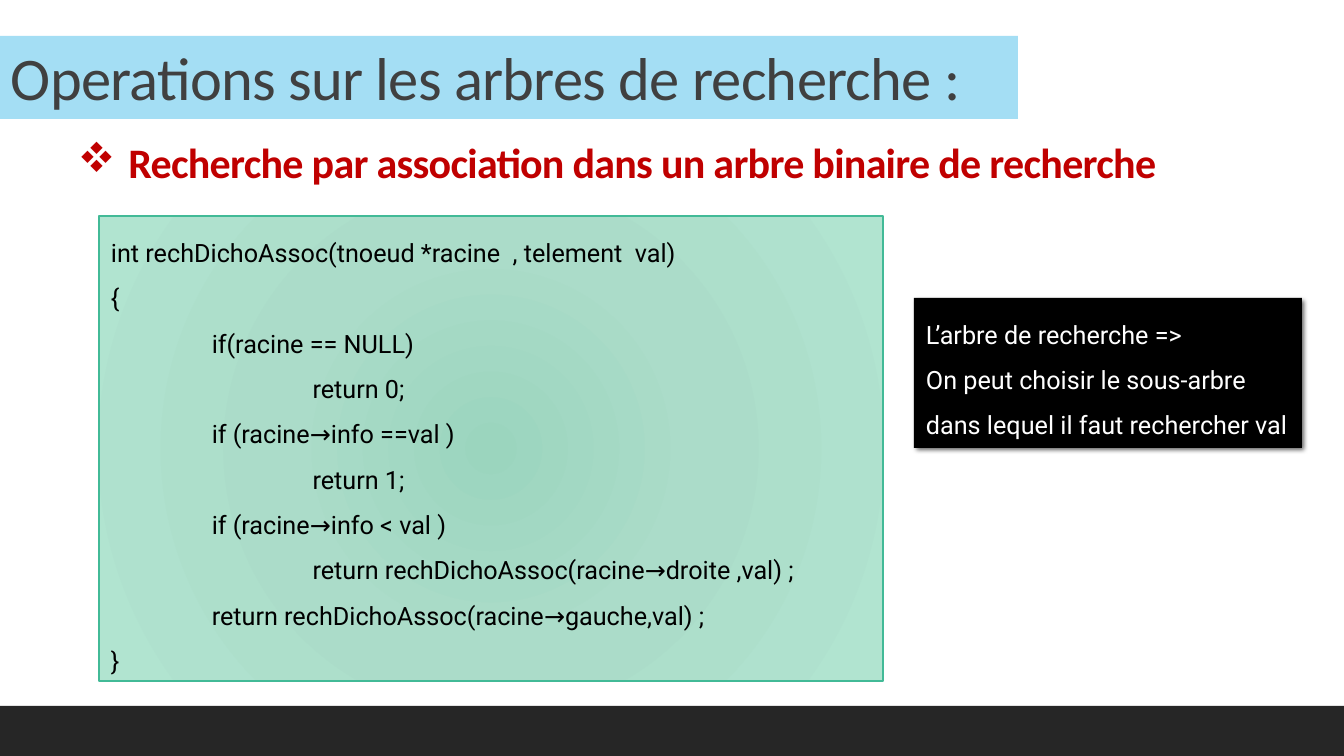
import pptx
import pptx.dml.color
import pptx.enum.shapes
import pptx.enum.text
import pptx.oxml
import pptx.oxml.ns
import pptx.util

EMU_PER_PX = 914400 / 100.8
COLORS = {
    "footer": "262626",
    "title_band": "A4DEF4",
    "title_text": "404040",
    "heading": "C00000",
    "code_line": "42BA97",
    "code_inner": "9BD5BE",
    "code_middle": "ABDCC9",
    "code_outer": "B1E4D0",
    "black": "000000",
    "white": "FFFFFF",
}
CODE = [
    (0, "int rechDichoAssoc(tnoeud *racine  , telement  val)"),
    (0, "{"),
    (1, "if(racine == NULL)"),
    (2, "return 0;"),
    (1, "if (racine→info ==val )"),
    (2, "return 1;"),
    (1, "if (racine→info < val )"),
    (2, "return rechDichoAssoc(racine→droite ,val) ;"),
    (1, "return rechDichoAssoc(racine→gauche,val) ;"),
    (0, "}"),
]
REMARK = [
    "L’arbre de recherche =>",
    "On peut choisir le sous-arbre",
    "dans lequel il faut rechercher val",
]


def px(length):
    """Turn pixels into EMU."""
    return pptx.util.Emu(round(length * EMU_PER_PX))


def rgb(name):
    """Return the named colour."""
    return pptx.dml.color.RGBColor.from_string(COLORS[name])


def element(xml):
    """Parse a drawing element written without its namespace."""
    tag, rest = xml.split(" ", 1)
    namespace = pptx.oxml.ns.nsdecls("a")
    return pptx.oxml.parse_xml(f"{tag} {namespace} {rest}")


def add_rectangle(slide, box, fill):
    """Add a plain filled rectangle."""
    shape = slide.shapes.add_shape(
        pptx.enum.shapes.MSO_SHAPE.RECTANGLE, *map(px, box))
    shape.shadow.inherit = False
    shape.fill.solid()
    shape.fill.fore_color.rgb = rgb(fill)
    shape.line.fill.background()
    return shape


def add_text(shape, lines, font, size, color, spacing, bold=False, tracking=0):
    """Write left-aligned lines, one paragraph each, with inch-wide tabs."""
    frame = shape.text_frame
    frame.word_wrap = True
    for index, line in enumerate(lines):
        paragraph = frame.add_paragraph() if index else frame.paragraphs[0]
        paragraph.alignment = pptx.enum.text.PP_ALIGN.LEFT
        paragraph.line_spacing = spacing
        paragraph._p.get_or_add_pPr().set("defTabSz", "914400")
        run = paragraph.add_run()
        run.text = line
        run.font.name = font
        run.font.size = pptx.util.Pt(size)
        run.font.bold = bold
        run.font.color.rgb = rgb(color)
        if tracking:
            run.font._element.set("spc", str(tracking))


def add_panel(slide, box, fill, lines, color):
    """Add a panel of widely spaced lines."""
    shape = add_rectangle(slide, box, fill)
    frame = shape.text_frame
    frame.margin_left = frame.margin_right = px(12)
    frame.margin_top = frame.margin_bottom = px(6)
    frame.vertical_anchor = pptx.enum.text.MSO_ANCHOR.TOP
    frame.auto_size = pptx.enum.text.MSO_AUTO_SIZE.SHAPE_TO_FIT_TEXT
    add_text(shape, lines, "Roboto", 18, color, 1.5)
    return shape


def add_title(slide, box, text):
    """Add the title on its band."""
    shape = add_rectangle(slide, box, "title_band")
    shape.text_frame.margin_left = px(11)
    shape.text_frame.vertical_anchor = pptx.enum.text.MSO_ANCHOR.BOTTOM
    add_text(shape, [text], "Calibri", 43.2, "title_text", 0.9, tracking=-50)


def add_heading(slide, box, text):
    """Add the bulleted heading."""
    shape = slide.shapes.add_textbox(*map(px, box))
    add_text(shape, [text], "Calibri", 30, "heading", 0.9, True, -50)
    properties = shape.text_frame.paragraphs[0]._p.get_or_add_pPr()
    properties.set("marL", "457200")
    properties.set("indent", "-457200")
    properties.append(element('<a:buFont typeface="Wingdings" charset="2"/>'))
    properties.append(element('<a:buChar char="v"/>'))


def set_radial_gradient(shape, stops):
    """Replace the solid fill by a radial gradient."""
    stop_xml = "".join(
        f'<a:gs pos="{position * 1000}"><a:srgbClr val="{COLORS[name]}"/></a:gs>'
        for position, name in stops)
    solid = shape._element.spPr.find(pptx.oxml.ns.qn("a:solidFill"))
    solid.getparent().replace(solid, element(
        f'<a:gradFill rotWithShape="1"><a:gsLst>{stop_xml}</a:gsLst>'
        '<a:path path="circle"><a:fillToRect l="100000" t="100000" '
        'r="100000" b="100000"/></a:path></a:gradFill>'))


def set_shadow(shape):
    """Cast a soft shadow to the lower right."""
    effects = shape._element.spPr.find(pptx.oxml.ns.qn("a:effectLst"))
    effects.append(element(
        '<a:outerShdw blurRad="44450" dist="25400" dir="2700000" algn="tl" '
        f'rotWithShape="0"><a:srgbClr val="{COLORS["black"]}">'
        '<a:alpha val="60000"/></a:srgbClr></a:outerShdw>'))


def main():
    """Build and save the slide."""
    presentation = pptx.Presentation()
    presentation.slide_width = px(1344)
    presentation.slide_height = px(756)
    slide = presentation.slides.add_slide(presentation.slide_layouts[6])

    add_rectangle(slide, (0, 706, 1344, 50), "footer")
    add_title(slide, (0, 36, 1018, 83), "Operations sur les arbres de recherche :")
    add_heading(slide, (68, 137, 1111, 79),
                "Recherche par association dans un arbre binaire de recherche")

    code_lines = ["\t" * depth + text for depth, text in CODE]
    code = add_panel(slide, (99, 216, 784, 465), "code_outer", code_lines, "black")
    set_radial_gradient(
        code, [(0, "code_inner"), (45, "code_middle"), (100, "code_outer")])
    code.line.color.rgb = rgb("code_line")
    code.line.width = pptx.util.Pt(1)

    remark = add_panel(slide, (914, 298, 388, 150), "black", REMARK, "white")
    set_shadow(remark)
    presentation.save("out.pptx")


if __name__ == "__main__":
    main()
